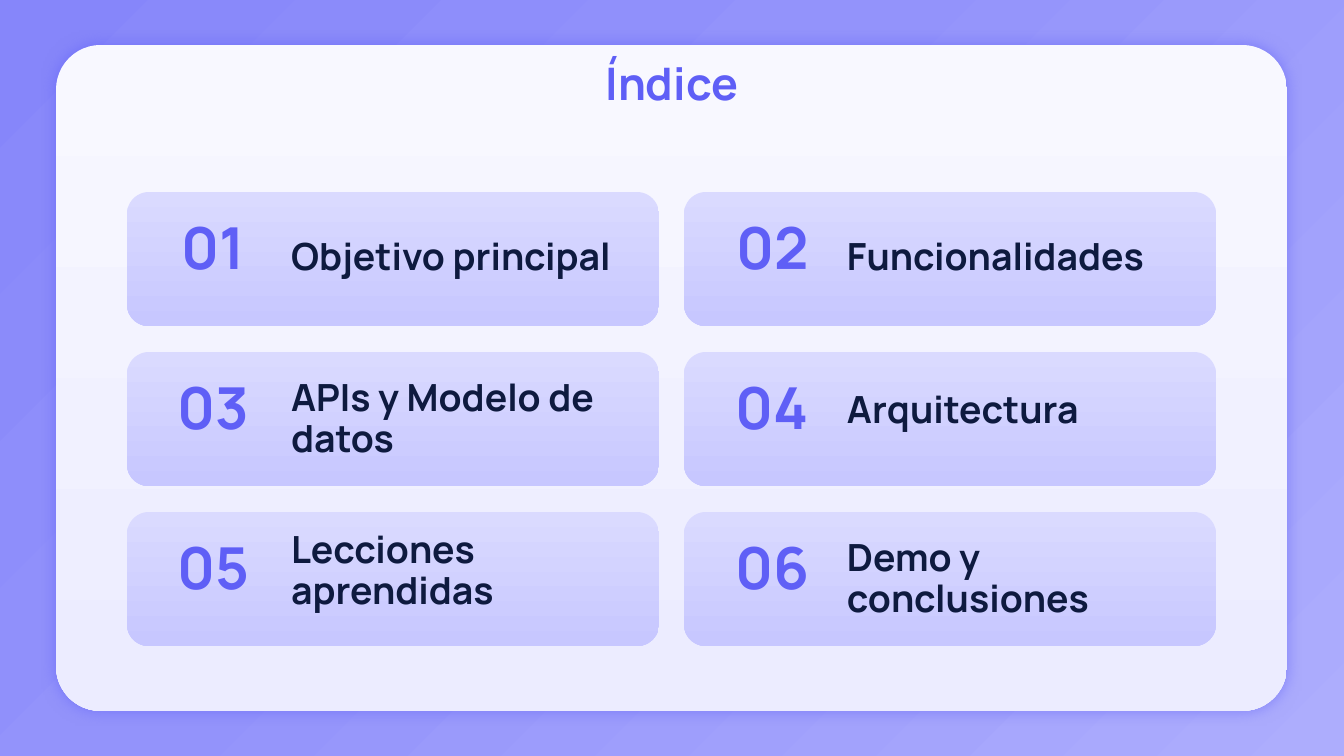
"""Build the index slide: a title and six numbered topic cards on a panel."""
from copy import deepcopy

from pptx import Presentation
from pptx.dml.color import RGBColor
from pptx.enum.shapes import MSO_SHAPE
from pptx.enum.text import MSO_ANCHOR, PP_ALIGN
from pptx.oxml import parse_xml
from pptx.oxml.ns import nsdecls, qn
from pptx.util import Emu, Pt

W, H = 1344, 756
EMU_PER_PX = 12192000 / W
VIOLET, NAVY = "5F5FF6", "0E1A3F"


def px(*lengths):
    return [Emu(round(v * EMU_PER_PX)) for v in lengths]


def rgb(color):
    return RGBColor.from_string(color)


prs = Presentation()
prs.slide_width, prs.slide_height = px(W, H)
s = prs.slides.add_slide(prs.slide_layouts[6])

cards, texts = [], [("Índice", (106, 49, 1132, 85), 32, VIOLET, PP_ALIGN.CENTER, MSO_ANCHOR.TOP)]
topics = [
    ("Objetivo principal", 258), ("Funcionalidades", 258),
    ("APIs y Modelo de datos", 420), ("Arquitectura", 411),
    ("Lecciones aprendidas", 572), ("Demo y conclusiones", 580),
]
for i, (topic, middle) in enumerate(topics):
    row, col = divmod(i, 2)
    x, y = 127 + 557 * col, 192 + 160 * row
    cards.append(((x, y, 532, 134), 0.164, "DADAFF", "C7C7FF"))
    texts += [
        (f"{i + 1:02}", (153 + 559 * col, y + 26, 121, 66), 41.3, VIOLET, PP_ALIGN.CENTER, MSO_ANCHOR.MIDDLE),
        (topic, (278 + 556 * col, middle - 56, 355, 112), 26.7, NAVY, PP_ALIGN.LEFT, MSO_ANCHOR.MIDDLE),
    ]

fill = s.background.fill
fill.gradient()
fill.gradient_angle = 135
for stop, color in zip(fill.gradient_stops, ("ADADFD", "8686FA")):
    stop.color.rgb = rgb(color)
stops = s.element.find(".//" + qn("a:gsLst"))
stops.insert(1, deepcopy(stops[0]))
fill.gradient_stops[1].position = 0.58
fill.gradient_stops[1].color.rgb = rgb("9393FB")

panel = ((56, 45, 1231, 666), 0.067, "F8F8FF", "ECECFF")
for box, radius, top, bottom in [panel] + cards:
    sp = s.shapes.add_shape(MSO_SHAPE.ROUNDED_RECTANGLE, *px(*box))
    sp.adjustments[0] = radius
    sp.shadow.inherit = False
    sp.line.fill.background()
    sp.fill.gradient()
    sp.fill.gradient_angle = 270
    for stop, color in zip(sp.fill.gradient_stops, (top, bottom)):
        stop.color.rgb = rgb(color)

effects = s.shapes[0].element.spPr.find(qn("a:effectLst"))
effects.append(parse_xml(
    f'<a:outerShdw {nsdecls("a")} blurRad="{Pt(10.1)}" dist="0" dir="0" algn="ctr" rotWithShape="0">'
    f'<a:srgbClr val="{VIOLET}"><a:alpha val="49000"/></a:srgbClr></a:outerShdw>'
))

for text, box, size, color, align, anchor in texts:
    tf = s.shapes.add_textbox(*px(*box)).text_frame
    inset = px(13)[0]
    frame = {"word_wrap": True, "vertical_anchor": anchor, "margin_left": inset,
             "margin_right": inset, "margin_top": inset, "margin_bottom": inset}
    for name, value in frame.items():
        setattr(tf, name, value)
    p = tf.paragraphs[0]
    p.alignment = align
    p.line_spacing = 0.9
    r = p.add_run()
    r.text = text
    for name, value in {"name": "Manrope", "size": Pt(size), "bold": True}.items():
        setattr(r.font, name, value)
    r.font.color.rgb = rgb(color)

prs.save("out.pptx")
